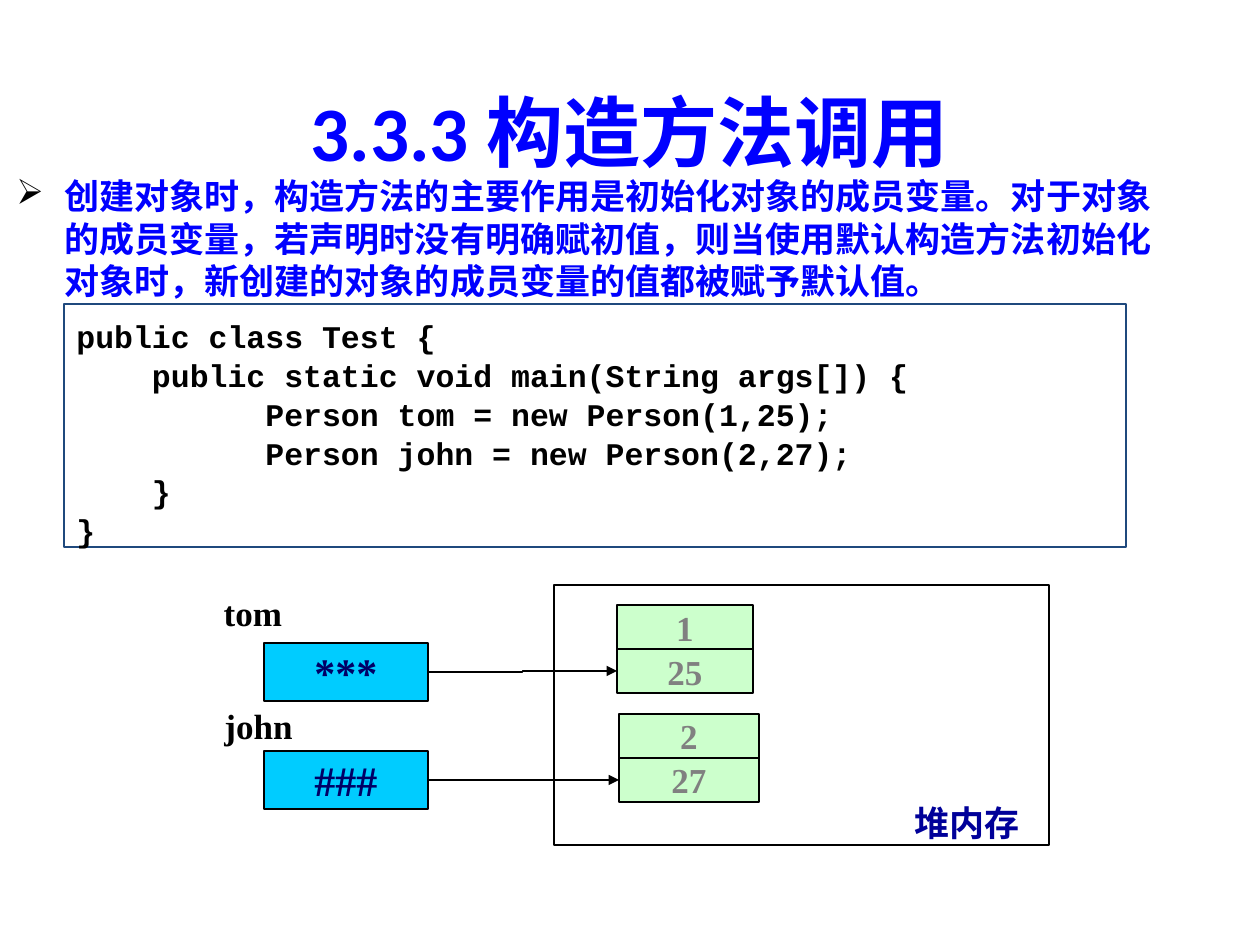
"""Build a slide on constructor calls with a heap memory diagram."""
from dataclasses import dataclass
from typing import Optional

from lxml import etree
from pptx import Presentation
from pptx import util as u
from pptx.dml.color import RGBColor
from pptx.enum import shapes, text
from pptx.oxml import ns

BLUE = RGBColor(0x00, 0x00, 0xFF)
NAVY = RGBColor(0x00, 0x00, 0x99)
INDIGO = RGBColor(0x00, 0x00, 0x66)
SLATE = RGBColor(0x1F, 0x49, 0x7D)
CYAN = RGBColor(0x00, 0xCC, 0xFF)
MINT = RGBColor(0xCC, 0xFF, 0xCC)
GRAY = RGBColor(0x80, 0x80, 0x80)
BLACK = RGBColor(0x00, 0x00, 0x00)
WHITE = RGBColor(0xFF, 0xFF, 0xFF)

SERIF = "Times New Roman"
CENTER = text.PP_ALIGN.CENTER
LEFT = text.PP_ALIGN.LEFT
TOP = text.MSO_ANCHOR.TOP
MIDDLE = text.MSO_ANCHOR.MIDDLE
PX_PER_INCH = 126
CELL_HEIGHT = 44

SUMMARY = (
    "创建对象时，构造方法的主要作用是初始化对象的成员变量。"
    "对于对象的成员变量，若声明时没有明确赋初值，则当使用默认构造方法初始化对象时，"
    "新创建的对象的成员变量的值都被赋予默认值。"
)
CODE = """public class Test {
    public static void main(String args[]) {
          Person tom = new Person(1,25);
          Person john = new Person(2,27);
    }
}"""


@dataclass(frozen=True)
class Area:
    left: int
    top: int
    width: int
    height: int


@dataclass(frozen=True)
class Style:
    size: int
    color: RGBColor
    font: str = SERIF
    align: text.PP_ALIGN = CENTER
    anchor: text.MSO_ANCHOR = TOP
    wrap: bool = True
    inset_top: int = 6
    inset_bottom: int = 6
    pitch: Optional[float] = None


@dataclass(frozen=True)
class Instance:
    name: str
    label: Area
    reference: str
    reference_top: int
    values: tuple
    cells: Area
    link: shapes.MSO_CONNECTOR


TITLE = Style(44, BLUE, "Calibri", anchor=MIDDLE)
BODY = Style(20, BLUE, "Calibri", LEFT, inset_top=10, pitch=24)
LISTING = Style(18, BLACK, "Courier New", LEFT, inset_top=12, inset_bottom=0, pitch=22.2)
LABEL = Style(20, BLACK)
HEAP_LABEL = Style(20, NAVY, wrap=False)
REFERENCE = Style(24, INDIGO, anchor=MIDDLE, wrap=False)
VALUE = Style(20, GRAY, anchor=MIDDLE, wrap=False)

INSTANCES = (
    Instance("tom", Area(185, 585, 136, 55), "***", 643, ("1", "25"),
             Area(617, 605, 136, CELL_HEIGHT), shapes.MSO_CONNECTOR.ELBOW),
    Instance("john", Area(196, 698, 125, 55), "###", 751, ("2", "27"),
             Area(619, 714, 140, CELL_HEIGHT), shapes.MSO_CONNECTOR.STRAIGHT),
)


def px(value: int) -> u.Emu:
    """Turn slide pixels into EMU."""
    return u.Emu(round(value * 914400 / PX_PER_INCH))


def place(area: Area) -> tuple:
    """Give the EMU position and size of an area."""
    return px(area.left), px(area.top), px(area.width), px(area.height)


def write(box, words: str, style: Style) -> None:
    """Write each line of words as a paragraph."""
    frame = box.text_frame
    frame.word_wrap = style.wrap
    frame.vertical_anchor = style.anchor
    frame.margin_left = frame.margin_right = u.Inches(0.1)
    frame.margin_top, frame.margin_bottom = px(style.inset_top), px(style.inset_bottom)
    for index, line in enumerate(words.split("\n")):
        para = frame.add_paragraph() if index else frame.paragraphs[0]
        para.alignment = style.align
        if style.pitch:
            para.line_spacing = u.Pt(style.pitch)
        span = para.add_run()
        span.text = line
        span.font.name = style.font
        span.font.size = u.Pt(style.size)
        span.font.bold = True
        span.font.color.rgb = style.color


def add_text(page, area: Area, words: str, style: Style):
    """Add a text box."""
    box = page.shapes.add_textbox(*place(area))
    write(box, words, style)
    return box


def add_box(page, area: Area, fill: RGBColor, line: RGBColor = BLACK):
    """Add a thinly outlined rectangle."""
    box = page.shapes.add_shape(shapes.MSO_SHAPE.RECTANGLE, *place(area))
    box.shadow.inherit = False
    box.fill.solid()
    box.fill.fore_color.rgb = fill
    box.line.color.rgb = line
    box.line.width = u.Pt(0.75)
    return box


def add_bullet(para) -> None:
    """Give a paragraph a black arrow bullet and a hanging indent."""
    props = para._p.get_or_add_pPr()
    props.set("marL", str(px(48)))
    props.set("indent", str(-px(48)))
    color = etree.SubElement(props, ns.qn("a:buClr"))
    etree.SubElement(color, ns.qn("a:srgbClr"), val=str(BLACK))
    etree.SubElement(props, ns.qn("a:buChar"), char="➢")


def add_arrow(page, kind: shapes.MSO_CONNECTOR, start, end) -> None:
    """Join the right side of one box to the left side of another."""
    arrow = page.shapes.add_connector(kind, 0, 0, 0, 0)
    arrow.begin_connect(start, 3)
    arrow.end_connect(end, 1)
    arrow.line.color.rgb = BLACK
    arrow.line.width = u.Pt(0.75)
    etree.SubElement(arrow.line._get_or_add_ln(), ns.qn("a:tailEnd"), type="triangle")
    etree.SubElement(arrow._element.spPr, ns.qn("a:effectLst"))


def add_instance(page, item: Instance) -> None:
    """Draw a variable, its reference and the object it points to."""
    add_text(page, item.label, item.name, LABEL)
    reference = add_box(page, Area(264, item.reference_top, 164, 58), CYAN)
    write(reference, item.reference, REFERENCE)
    for row, value in enumerate(item.values):
        top = item.cells.top + row * CELL_HEIGHT
        cell = add_box(page, Area(item.cells.left, top, item.cells.width, CELL_HEIGHT), MINT)
        write(cell, value, VALUE)
    add_arrow(page, item.link, reference, cell)


def main() -> None:
    """Build and save the deck."""
    deck = Presentation()
    deck.slide_width, deck.slide_height = u.Inches(10), u.Inches(7.5)
    page = deck.slides.add_slide(deck.slide_layouts[6])
    add_text(page, Area(63, 86, 1134, 89), "3.3.3 构造方法调用", TITLE)
    summary = add_text(page, Area(4, 165, 1190, 780), SUMMARY, BODY)
    add_bullet(summary.text_frame.paragraphs[0])
    listing = add_box(page, Area(64, 304, 1062, 243), WHITE, SLATE)
    write(listing, CODE, LISTING)
    add_box(page, Area(554, 585, 495, 260), WHITE)
    add_text(page, Area(902, 795, 130, 55), "堆内存", HEAP_LABEL)
    for item in INSTANCES:
        add_instance(page, item)
    deck.save("out.pptx")


if __name__ == "__main__":
    main()
